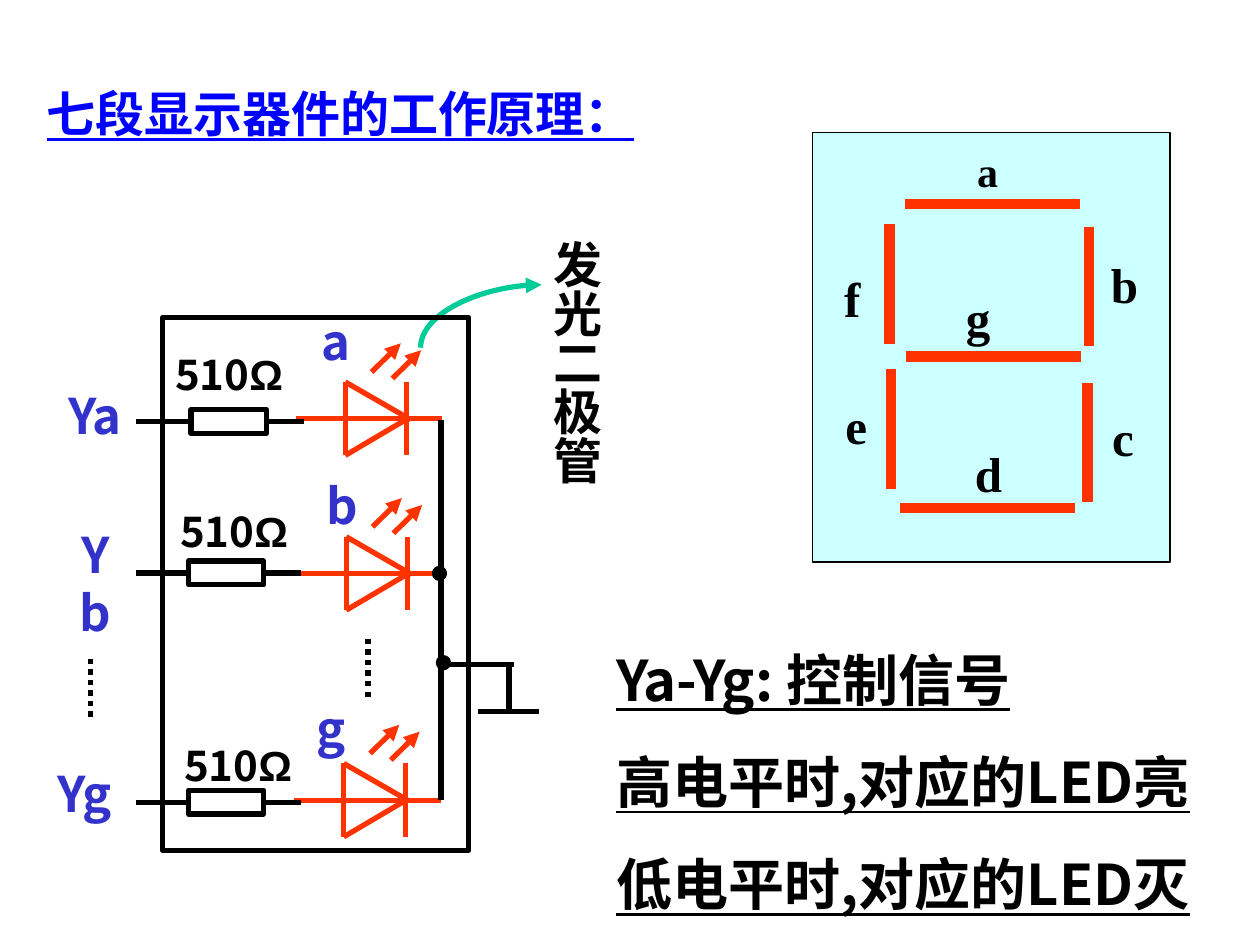
from lxml.etree import SubElement
from pptx import Presentation
from pptx.dml.color import RGBColor
from pptx.enum.dml import MSO_LINE
from pptx.enum.shapes import MSO_CONNECTOR, MSO_SHAPE
from pptx.enum.text import MSO_ANCHOR, MSO_AUTO_SIZE, PP_ALIGN
from pptx.oxml.ns import qn
from pptx.util import Cm, Pt

BLACK = RGBColor(0, 0, 0)
WHITE = RGBColor(255, 255, 255)
BLUE = RGBColor(0, 0, 255)
INDIGO = RGBColor(0x33, 0x33, 0xCC)
RED = RGBColor(0xFF, 0x33, 0)
GREEN = RGBColor(0, 0xCC, 0x99)
CYAN = RGBColor(0xCC, 0xFF, 0xFF)
SANS, SERIF, ARIAL = "Noto Sans CJK SC", "Times New Roman", "Arial"

# Segment label, size, centre
MARKS = [
    ("a", 24, 19.91, 3.45), ("b", 28, 22.67, 5.73), ("c", 28, 22.64, 8.8),
    ("d", 28, 19.93, 9.54), ("e", 28, 17.26, 8.57), ("f", 28, 17.18, 6.01),
    ("g", 28, 19.72, 6.39),
]
BARS = [(18.24, 4.11), (18.26, 7.19), (18.14, 10.24)]
POSTS = [(17.93, 4.52), (17.96, 7.44), (21.92, 7.72), (21.95, 4.57)]

# Letter, resistor left middle, diode top left, then label centres:
# resistance, input, letter
ROWS = [
    ("a", (3.85, 8.5), (6.96, 7.7), (4.62, 7.54), (1.92, 8.37), (6.77, 6.87)),
    ("b", (3.8, 11.55), (6.98, 10.82), (4.72, 10.69), (1.92, 11.75), (6.9, 10.17)),
    ("g", (3.8, 16.17), (6.93, 15.39), (4.8, 15.42), (1.71, 15.99), (6.67, 14.67)),
]
# Diode strokes relative to its top left corner
STROKES = [
    (0, 0, 0, 1.48), (-1, 0.74, 1.96, 0.74), (0, 0, 1.32, 0.76),
    (1.22, 0.76, 0, 1.48), (1.24, 0, 1.24, 1.48),
]
RAYS = [(0.53, -0.2, 1.12, -0.78), (0.95, -0.07, 1.53, -0.64)]


def apply(item, values):
    for key, value in values.items():
        setattr(item, key, value)


class Board:
    """Holds the text style and the slide being drawn."""

    frame = {
        "margin_left": Cm(0.25), "margin_right": Cm(0.25),
        "margin_top": Cm(0.13), "margin_bottom": Cm(0.13),
        "auto_size": MSO_AUTO_SIZE.NONE,
    }

    def __init__(self, slide):
        self.slide = slide

    def letter(self, shape, lines, size, color, face=SANS, under=False,
               align=PP_ALIGN.CENTER, anchor=MSO_ANCHOR.MIDDLE, wrap=False,
               gap=0, lead=1.2):
        """Fill a shape; each line is a list of (text, font) runs or a string."""
        text = shape.text_frame
        apply(text, {**self.frame, "word_wrap": wrap, "vertical_anchor": anchor})
        for i, line in enumerate(lines):
            para = text.add_paragraph() if i else text.paragraphs[0]
            props = para._p.get_or_add_pPr()
            props.set("marL", "0")
            props.set("indent", "0")
            SubElement(props, qn("a:buNone"))
            apply(para, {"alignment": align, "line_spacing": Pt(size * lead),
                         "space_before": Pt(gap if i else 0)})
            for part, name in [(line, face)] if isinstance(line, str) else line:
                run = para.add_run()
                run.text = part
                apply(run.font, {"name": name, "size": Pt(size), "bold": True,
                                 "underline": under})
                run.font.color.rgb = color
                SubElement(run._r.get_or_add_rPr(), qn("a:ea"), typeface=SANS)

    def holder(self, index, box, lines, size, color, **style):
        shape = self.slide.placeholders[index]
        names = ("left", "top", "width", "height")
        apply(shape, dict(zip(names, map(Cm, box))))
        self.letter(shape, lines, size, color, align=PP_ALIGN.LEFT,
                    under=True, **style)

    def label(self, line, x, y, width, height, size, color, **style):
        """Add a text box centred on x, y."""
        shape = self.slide.shapes.add_textbox(
            Cm(x - width / 2), Cm(y - height / 2), Cm(width), Cm(height))
        self.letter(shape, [line], size, color, **style)
        return shape

    def shape(self, kind, x, y, width, height, fill=None, weight=3):
        shape = self.slide.shapes.add_shape(
            kind, Cm(x), Cm(y), Cm(width), Cm(height))
        shape.shadow.inherit = False
        if fill is None:
            shape.fill.background()
        else:
            shape.fill.solid()
            shape.fill.fore_color.rgb = fill
        shape.line.color.rgb = BLACK
        shape.line.width = Pt(weight)

    def line(self, x1, y1, x2, y2, color=BLACK, weight=3, end=None, dash=None,
             kind=MSO_CONNECTOR.STRAIGHT):
        """Add a line; end is headEnd or tailEnd for an arrow."""
        wire = self.slide.shapes.add_connector(
            kind, Cm(x1), Cm(y1), Cm(x2), Cm(y2))
        wire.line.color.rgb = color
        apply(wire.line, {"width": Pt(weight), "dash_style": dash})
        if end:
            SubElement(wire.line._get_or_add_ln(), qn("a:" + end), type="triangle")
        SubElement(wire._element.spPr, qn("a:effectLst"))
        return wire

    def dot(self, x, y):
        self.shape(MSO_SHAPE.OVAL, x - 0.1, y - 0.1, 0.2, 0.2, BLACK)

    def diode(self, x, y):
        for rays, end in ((STROKES, None), (RAYS, "tailEnd")):
            for x1, y1, x2, y2 in rays:
                self.line(x + x1, y + y1, x + x2, y + y2, RED, end=end)

    def ohm(self, x, y):
        """Draw a resistor with its two leads."""
        self.shape(MSO_SHAPE.RECTANGLE, x, y - 0.24, 1.52, 0.48, WHITE)
        self.line(x + 1.53, y, x + 2.27, y)
        self.line(2.75, y, x, y)


def digit(board):
    board.shape(MSO_SHAPE.RECTANGLE, 16.38, 2.67, 7.21, 8.66, CYAN, 0.75)
    for x, y in BARS:
        board.line(x, y, x + 3.53, y, RED, 6)
    for x, y in POSTS:
        board.line(x, y, x, y + 2.41, RED, 6)
    for name, size, x, y in MARKS:
        board.label(name, x, y, 1.02, 1.45, size, BLACK, face=SERIF)


def callout(board):
    note = board.label("发光二极管", 11.71, 7.31, 1.68, 5.18, 28, BLACK, lead=1.4)
    note.text_frame._txBody.bodyPr.set("vert", "eaVert")
    curve = board.line(10.92, 5.74, 8.48, 7.01, GREEN, end="headEnd",
                       kind=MSO_CONNECTOR.CURVE)
    curve._element.spPr.prstGeom.set("prst", "curvedConnector2")


def circuit(board):
    board.shape(MSO_SHAPE.RECTANGLE, 3.28, 6.4, 6.17, 10.74)
    for name, ohm, diode, value, source, mark in ROWS:
        board.diode(*diode)
        board.ohm(*ohm)
        board.label([("510", SANS), ("Ω", ARIAL)], *value, 2.69, 1.27, 24, BLACK)
        board.label("Y" + name, *source, 1.7, 1.45, 28, INDIGO, wrap=True)
        board.label(name, *mark, 1.09, 1.45, 28, INDIGO)
    board.line(8.89, 8.46, 8.89, 16.13)
    board.dot(8.86, 11.56)
    board.dot(8.94, 13.36)
    for x, y in ((7.42, 12.88), (1.83, 13.28)):
        board.line(x, y, x, y + 1.18, dash=MSO_LINE.ROUND_DOT)
    # Ground
    board.line(8.89, 13.39, 10.36, 13.39)
    board.line(10.26, 13.39, 10.26, 14.35)
    board.line(9.63, 14.35, 10.87, 14.35)


def main():
    deck = Presentation()
    apply(deck, {"slide_width": Cm(25.4), "slide_height": Cm(19.05)})
    board = Board(deck.slides.add_slide(deck.slide_layouts[1]))
    board.holder(0, (0.69, 1.55, 12.34, 1.45), ["七段显示器件的工作原理："],
                 28, BLUE, face=SERIF, anchor=MSO_ANCHOR.TOP)
    board.holder(1, (12.17, 12.88, 13.36, 5.74),
                 ["Ya-Yg: 控制信号", "高电平时,对应的LED亮", "低电平时,对应的LED灭"],
                 32, BLACK, gap=20)
    digit(board)
    callout(board)
    circuit(board)
    deck.save("out.pptx")


if __name__ == "__main__":
    main()
